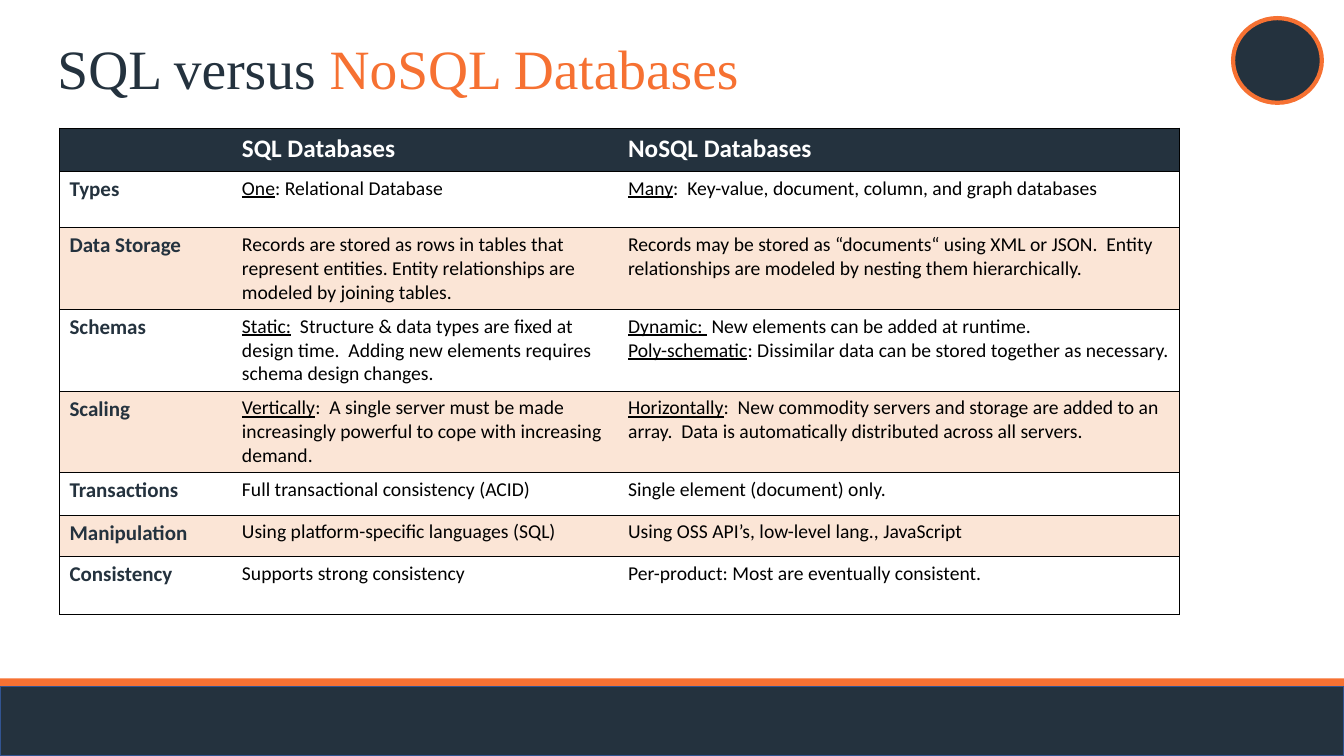
"""Build a slide that compares SQL and NoSQL databases in a table."""
from pptx import Presentation, util as u
from pptx.dml.color import RGBColor
from pptx.enum import shapes, text
from pptx.oxml.xmlchemy import OxmlElement

COLORS = {"navy": "24323E", "orange": "F67132", "peach": "FBE5D6",
          "white": "FFFFFF", "black": "000000", "blue": "325491"}

TITLE = [("SQL versus ", "navy"), ("NoSQL Databases", "orange")]

# Underscores enclose underlined words.
ROWS = [
    ("", "SQL Databases", "NoSQL Databases"),
    ("Types", "_One_: Relational Database",
     "_Many_:  Key-value, document, column, and graph databases"),
    ("Data Storage",
     "Records are stored as rows in tables that represent entities. "
     "Entity relationships are modeled by joining tables.",
     "Records may be stored as “documents“ using XML or JSON.  "
     "Entity relationships are modeled by nesting them hierarchically."),
    ("Schemas",
     "_Static:_  Structure & data types are fixed at design time.  "
     "Adding new elements requires schema design changes.",
     "_Dynamic: _ New elements can be added at runtime.\n"
     "_Poly-schematic_: Dissimilar data can be stored together as necessary."),
    ("Scaling",
     "_Vertically_:  A single server must be made increasingly powerful "
     "to cope with increasing demand.",
     "_Horizontally_:  New commodity servers and storage are added to an "
     "array.  Data is automatically distributed across all servers."),
    ("Transactions", "Full transactional consistency (ACID)",
     "Single element (document) only."),
    ("Manipulation", "Using platform-specific languages (SQL)",
     "Using OSS API’s, low-level lang., JavaScript"),
    ("Consistency", "Supports strong consistency",
     "Per-product: Most are eventually consistent."),
]
COL_WIDTHS = [1.71, 3.83, 5.57]
ROW_HEIGHTS = [0.43, 0.56, 0.79, 0.79, 0.79, 0.42, 0.41, 0.57]

BARS = [
    ("RECTANGLE", (0, 6.73, 13.33, 0.28), "orange", None, 0),
    ("RECTANGLE", (0, 6.81, 13.33, 0.69), "navy", "blue", 1),
    ("OVAL", (12.23, 0.18, 0.88, 0.84), "navy", "orange", 3),
]


def rgb(name):
    return RGBColor.from_string(COLORS[name])


def write(p, content, size, color, font="Calibri", bold=False):
    for n, line in enumerate(content.split("\n")):
        if n:
            p.add_line_break()
        for i, part in enumerate(line.split("_")):
            if part:
                r = p.add_run()
                r.text = part
                r.font.size, r.font.name = u.Pt(size), font
                r.font.bold, r.font.underline = bold, i % 2 == 1
                r.font.color.rgb = rgb(color)


def set_borders(cell, visible):
    tc_pr = cell._tc.get_or_add_tcPr()
    for side in "LRTB":
        ln = OxmlElement(f"a:ln{side}")
        ln.set("w", str(u.Pt(0.5)))
        if side in visible:
            fill = OxmlElement("a:solidFill")
            color = OxmlElement("a:srgbClr")
            color.set("val", COLORS["black"])
            fill.append(color)
        else:
            fill = OxmlElement("a:noFill")
        ln.append(fill)
        tc_pr.append(ln)


def add_bar(s, kind, box, fill, line, width):
    sp = s.shapes.add_shape(shapes.MSO_SHAPE[kind], *map(u.Inches, box))
    sp.shadow.inherit = False
    sp.fill.solid()
    sp.fill.fore_color.rgb = rgb(fill)
    if line:
        sp.line.color.rgb = rgb(line)
        sp.line.width = u.Pt(width)
    else:
        sp.line.fill.background()


def add_title(s):
    sp = s.shapes.title
    sp.left, sp.top, sp.width, sp.height = map(u.Inches, (0.47, 0.4, 11.23, 0.62))
    tf = sp.text_frame
    tf.auto_size = text.MSO_AUTO_SIZE.NONE
    tf.vertical_anchor = text.MSO_ANCHOR.MIDDLE
    p = tf.paragraphs[0]
    p.alignment = text.PP_ALIGN.LEFT
    p.line_spacing = 0.9
    for part, color in TITLE:
        write(p, part, 39.6, color, font="Times New Roman")


def add_comparison(s):
    box = map(u.Inches, (0.59, 1.27, sum(COL_WIDTHS), sum(ROW_HEIGHTS)))
    table = s.shapes.add_table(len(ROWS), len(COL_WIDTHS), *box).table
    for col, width in zip(table.columns, COL_WIDTHS):
        col.width = u.Inches(width)
    for i, row in enumerate(ROWS):
        table.rows[i].height = u.Inches(ROW_HEIGHTS[i])
        fill = "navy" if i == 0 else "white" if i % 2 else "peach"
        for j, content in enumerate(row):
            cell = table.cell(i, j)
            set_borders(cell, "TB" + ("L", "", "R")[j])
            cell.fill.solid()
            cell.fill.fore_color.rgb = rgb(fill)
            size, color = (18, "white") if i == 0 else (14, "black") if j else (15, "navy")
            write(cell.text_frame.paragraphs[0], content, size, color,
                  bold=i == 0 or j == 0)


def main():
    prs = Presentation()
    prs.slide_width, prs.slide_height = u.Inches(13.33), u.Inches(7.5)
    s = prs.slides.add_slide(prs.slide_layouts[5])
    for bar in BARS:
        add_bar(s, *bar)
    add_title(s)
    add_comparison(s)
    prs.save("out.pptx")


if __name__ == "__main__":
    main()
